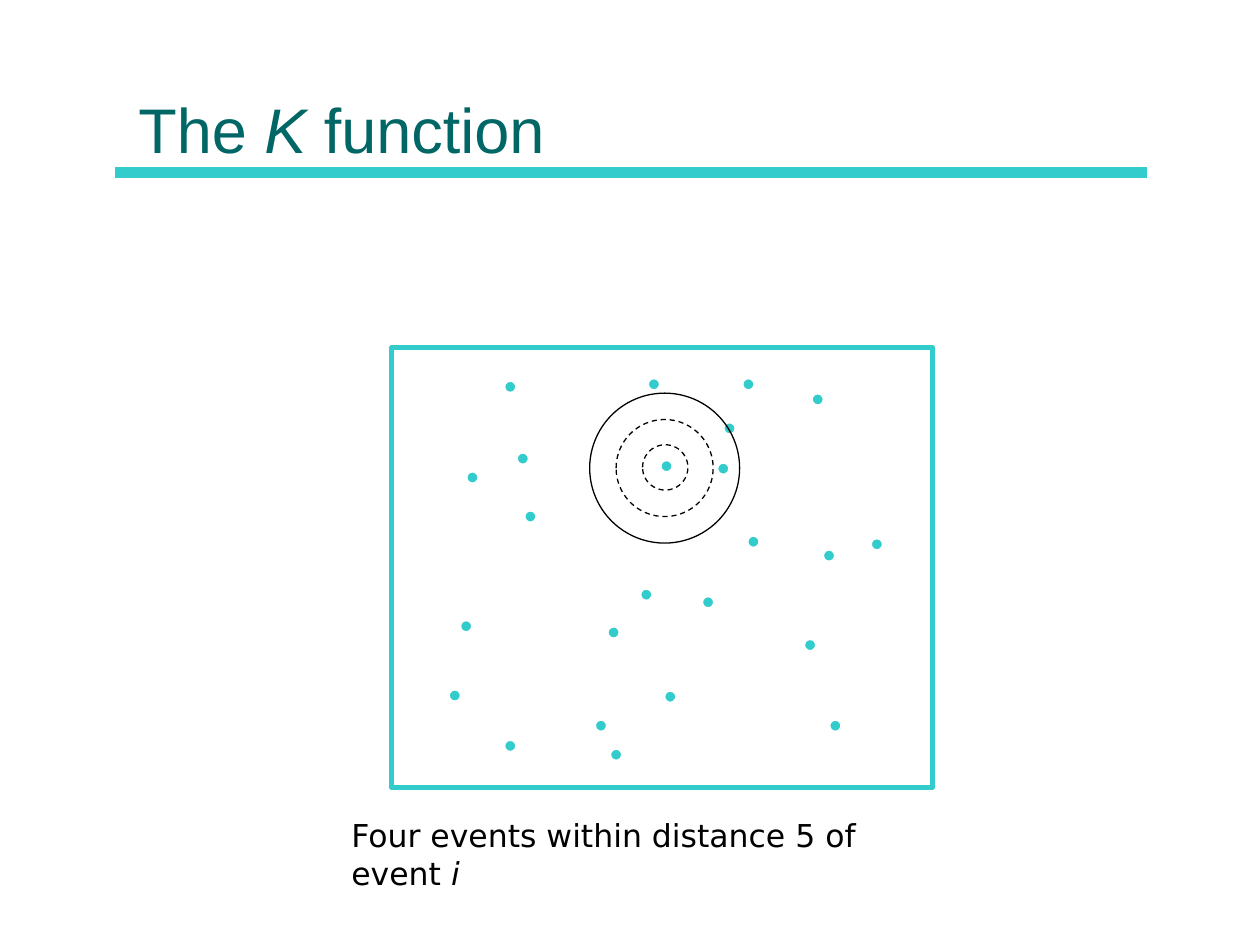
"""Build a slide showing the K function as rings around one event in a point pattern."""
import lxml.etree
import pptx
import pptx.dml.color
import pptx.enum.dml
import pptx.enum.shapes
import pptx.enum.text
import pptx.oxml.ns
import pptx.util

Inches = pptx.util.Inches
COLOURS = {"accent": "33CCCC", "title": "006666", "text": "000000", "paper": "FFFFFF"}
COLOURS = {name: pptx.dml.color.RGBColor.from_string(value) for name, value in COLOURS.items()}
SHAPES = pptx.enum.shapes.MSO_SHAPE


def add_text(page, spans, left, top, width, height, *, size, font, colour, anchor="TOP"):
    box = page.shapes.add_textbox(Inches(left), Inches(top), Inches(width), Inches(height))
    frame = box.text_frame
    frame.word_wrap = True
    frame.vertical_anchor = pptx.enum.text.MSO_ANCHOR[anchor]
    para = frame.paragraphs[0]
    for text, italic in spans:
        span = para.add_run()
        span.text = text
        span.font.italic = italic
        span.font.size = pptx.util.Pt(size)
        span.font.name = font
        span.font.color.rgb = COLOURS[colour]


def add_outlined(shapes, kind, left, top, width, height, *, line, weight, fill=None, dashed=False):
    shape = shapes.add_shape(kind, Inches(left), Inches(top), Inches(width), Inches(height))
    shape.shadow.inherit = False
    if fill:
        shape.fill.solid()
        shape.fill.fore_color.rgb = COLOURS[fill]
    else:
        shape.fill.background()
    shape.line.color.rgb = COLOURS[line]
    shape.line.width = pptx.util.Pt(weight)
    if dashed:
        shape.line.dash_style = pptx.enum.dml.MSO_LINE.DASH


deck = pptx.Presentation()
deck.slide_width = Inches(10)
deck.slide_height = Inches(7.5)
page = deck.slides.add_slide(deck.slide_layouts[6])

rule = page.shapes.add_connector(
    pptx.enum.shapes.MSO_CONNECTOR.STRAIGHT, Inches(0.91), Inches(1.37), Inches(9.1), Inches(1.37)
)
rule.line.color.rgb = COLOURS["accent"]
rule.line.width = pptx.util.Pt(6)
lxml.etree.SubElement(rule._element.spPr, pptx.oxml.ns.qn("a:effectLst"))

add_text(page, [("The ", False), ("K", True), (" function", False)], 1, 0.12, 8, 1.25,
         size=36, font="Arial", colour="title", anchor="BOTTOM")

add_outlined(page.shapes, SHAPES.RECTANGLE, 3.11, 2.76, 4.29, 3.49, line="accent", weight=3)

events = [
    (4.84, 5.94), (5.14, 3), (4, 3.02), (6.91, 4.27), (4.72, 5.71), (6.44, 3.12),
    (4.16, 4.05), (4.82, 4.97), (5.69, 3.67), (3.65, 4.92), (4.1, 3.59), (3.56, 5.47),
    (5.57, 4.73), (5.89, 3), (5.24, 3.65), (3.7, 3.74), (5.74, 3.35), (6.53, 4.36),
    (6.58, 5.71), (5.27, 5.48), (4, 5.87), (5.08, 4.67), (6.38, 5.07), (5.93, 4.25),
]
for left, top in events:
    add_outlined(page.shapes, SHAPES.OVAL, left, top, 0.1, 0.1,
                 line="paper", weight=1.5, fill="accent")

rings = page.shapes.add_group_shape()
for left, top, diameter, dashed in [
    (4.68, 3.12, 1.19, False), (4.89, 3.33, 0.77, True), (5.1, 3.53, 0.36, True)
]:
    add_outlined(rings.shapes, SHAPES.OVAL, left, top, diameter, diameter,
                 line="text", weight=0.75, dashed=dashed)

add_text(page, [("Four events within distance 5 of event ", False), ("i", True)],
         2.69, 6.43, 4.77, 0.4, size=18, font="DejaVu Sans", colour="text")

deck.save("out.pptx")
